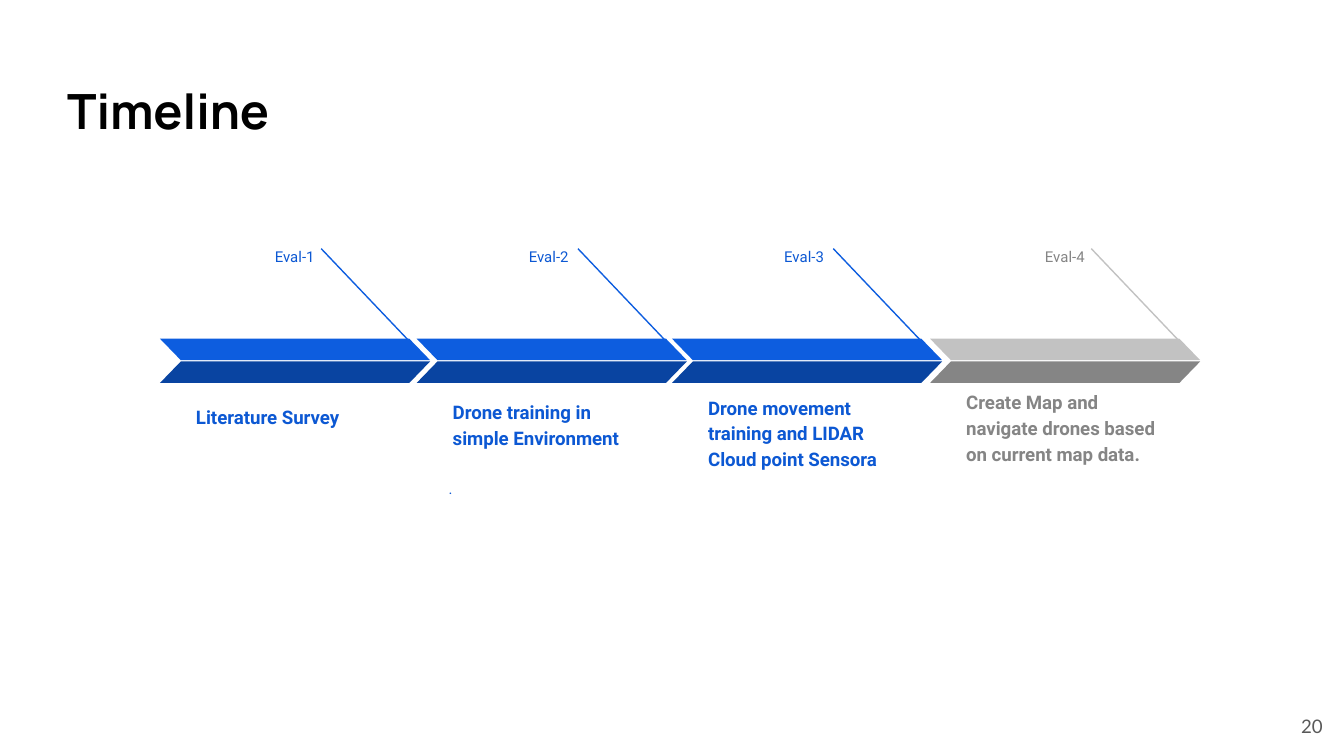
from lxml import etree
from pptx import Presentation
from pptx.dml.color import RGBColor
from pptx.enum.shapes import MSO_CONNECTOR, MSO_SHAPE
from pptx.enum.text import MSO_ANCHOR, MSO_AUTO_SIZE, PP_ALIGN
from pptx.oxml.ns import qn
from pptx.util import Inches, Pt

LEFT, RIGHT = PP_ALIGN.LEFT, PP_ALIGN.RIGHT
TOP, MIDDLE, BOTTOM = MSO_ANCHOR.TOP, MSO_ANCHOR.MIDDLE, MSO_ANCHOR.BOTTOM
PARALLELOGRAM = MSO_SHAPE.PARALLELOGRAM
STRAIGHT = MSO_CONNECTOR.STRAIGHT
NO_AUTOFIT = MSO_AUTO_SIZE.NONE

SLIDE_WIDTH = 10
SLIDE_HEIGHT = SLIDE_WIDTH * 9 / 16
DONE = {"text": "0C58D3", "light": "0D5DDF", "dark": "0944A1", "pointer": "0D5DDF"}
PENDING = {"text": "858585", "light": "C2C2C2", "dark": "858585", "pointer": "C2C2C2"}
STAGE_TOP = 1.72
STAGES = [
    (1.19, 0.57, "Eval-1", "Literature Survey", 1.13, 0.44, DONE),
    (3.10, 0.55, "Eval-2", "Drone training in simple Environment", 1.23, 0.49, DONE),
    (5.00, 0.55, "Eval-3", "Drone movement training and LIDAR Cloud point Sensora",
     1.39, 0.49, DONE),
    (6.92, 0.57, "Eval-4", "Create Map and navigate drones based on current map data.",
     1.13, 0.71, PENDING),
]


def color(hex_string):
    return RGBColor.from_string(hex_string)


def write(holder, text, font, size, hex_color, bold=False,
          align=LEFT, anchor=TOP, spacing=1.0):
    frame = holder.text_frame
    frame.text = text
    frame.word_wrap = True
    frame.auto_size = NO_AUTOFIT
    frame.vertical_anchor = anchor
    frame.margin_left = frame.margin_right = Inches(0.1)
    frame.margin_top = frame.margin_bottom = Inches(0.1)
    paragraph = frame.paragraphs[0]
    paragraph.alignment = align
    paragraph.line_spacing = spacing
    run_font = paragraph.runs[0].font
    run_font.name = font
    run_font.size = Pt(size)
    run_font.bold = bold
    run_font.color.rgb = color(hex_color)


def add_text(slide, left, top, width, height, text, font, size, hex_color, **style):
    box = slide.shapes.add_textbox(
        Inches(left), Inches(top), Inches(width), Inches(height))
    write(box, text, font, size, hex_color, **style)


def add_band(slide, left, top, hex_color, flipped=False):
    band = slide.shapes.add_shape(
        PARALLELOGRAM, Inches(left), Inches(top), Inches(2.01), Inches(0.16))
    band.adjustments[0] = 0.97
    band.shadow.inherit = False
    band.fill.solid()
    band.fill.fore_color.rgb = color(hex_color)
    band.line.fill.background()
    if flipped:
        band.element.spPr.get_or_add_xfrm().set("flipH", "1")


def add_pointer(slide, left, top, width, height, hex_color):
    pointer = slide.shapes.add_connector(
        STRAIGHT, Inches(left), Inches(top), Inches(left + width), Inches(top + height))
    pointer.line.color.rgb = color(hex_color)
    pointer.line.width = Pt(0.75)
    etree.SubElement(pointer.element.spPr, qn("a:effectLst"))


def add_stage(slide, left, top, label_offset, label, description,
              description_offset, description_height, palette):
    add_text(slide, left + label_offset, top, 0.68, 0.26, label, "Roboto", 8,
             palette["text"], align=RIGHT, spacing=1.15)
    add_text(slide, left + 0.17, top + description_offset, 1.65, description_height,
             description, "Roboto", 10, palette["text"],
             bold=True, anchor=BOTTOM, spacing=1.15)
    add_pointer(slide, left + 1.2, top + 0.13, 0.78, 0.82, palette["pointer"])
    add_band(slide, left, top + 0.8, palette["light"], flipped=True)
    add_band(slide, left, top + 0.97, palette["dark"])


def add_title(slide, left, top, width, height):
    title = slide.shapes.title
    title.left, title.top = Inches(left), Inches(top)
    title.width, title.height = Inches(width), Inches(height)
    write(title, "Timeline", "Manrope", 26, "000000", bold=True)


def main():
    presentation = Presentation()
    presentation.slide_width = Inches(SLIDE_WIDTH)
    presentation.slide_height = Inches(SLIDE_HEIGHT)
    slide = presentation.slides.add_slide(presentation.slide_layouts[5])
    add_title(slide, 0.4, 0.5, 4.18, 0.57)
    for left, label_offset, label, description, offset, height, palette in STAGES:
        add_stage(slide, left, STAGE_TOP, label_offset, label, description,
                  offset, height, palette)
    add_text(slide, 3.24, 3.45, 1.69, 0.81, ".", "Roboto", 8, DONE["text"], spacing=1.15)
    add_text(slide, 9.34, 5.19, 0.6, 0.43, "20", "Lato", 10, "595959",
             align=RIGHT, anchor=MIDDLE)
    presentation.save("out.pptx")


if __name__ == "__main__":
    main()
